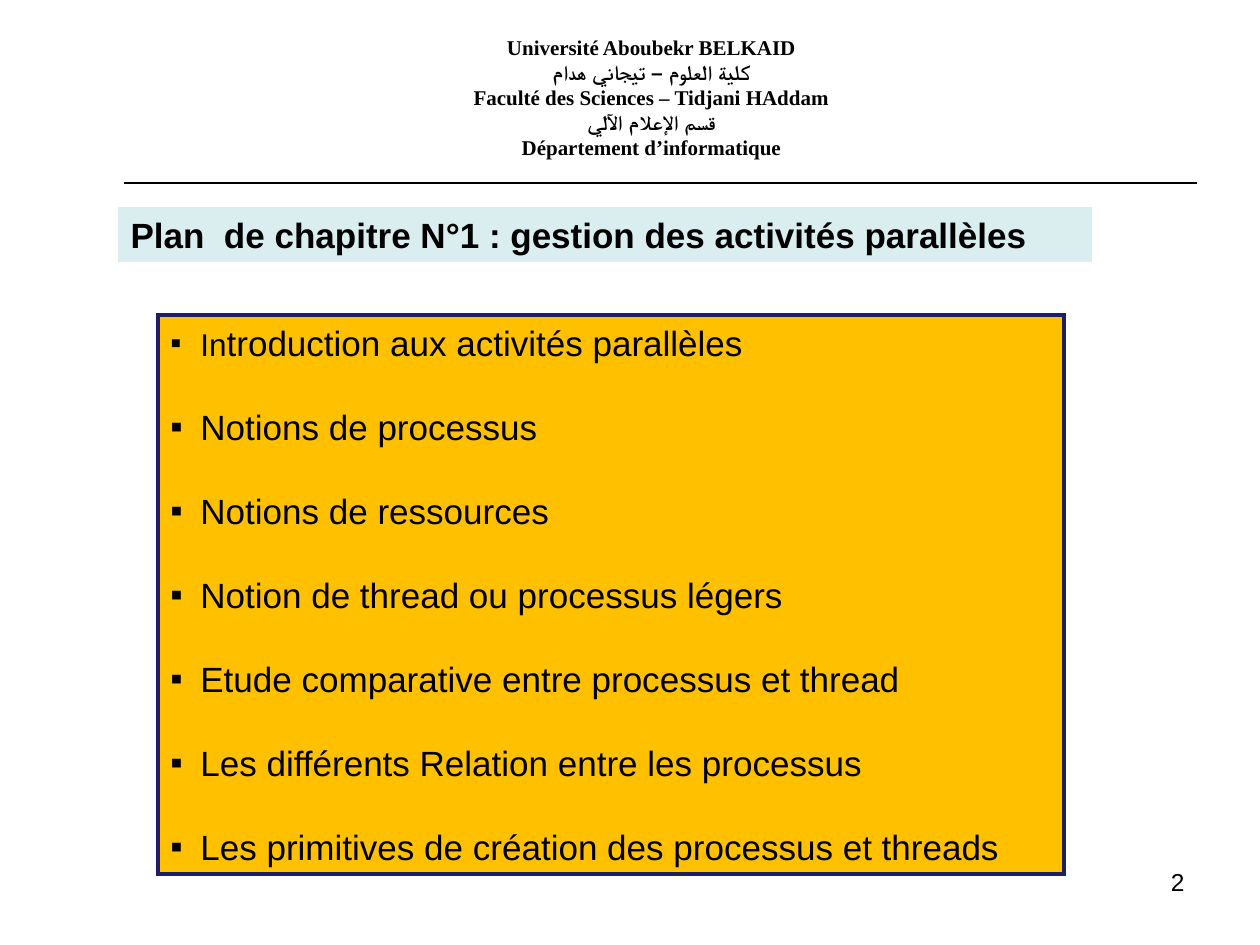
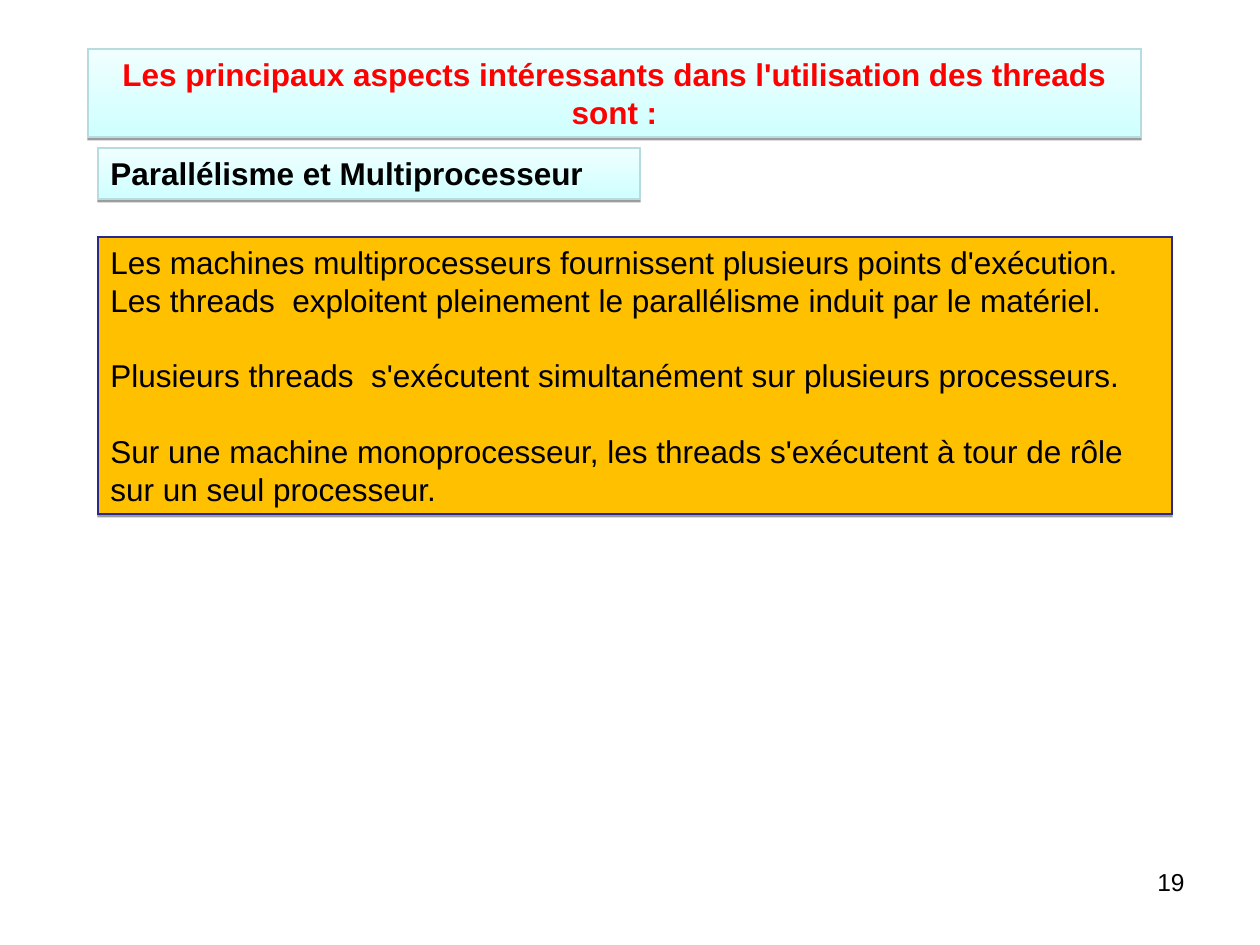
from lxml import etree
from pptx import Presentation
from pptx import util as u
from pptx.dml.color import RGBColor
from pptx.enum import shapes, text
from pptx.oxml import ns

EMU_PER_PX = 914400 / 126
SANS, SERIF = "Arial", "Times New Roman"
COLORS = {
    "ink": "000000",
    "alert": "FF0000",
    "band": "DAEDEF",
    "band_low": "CFFFFF",
    "band_high": "F0FFFF",
    "band_edge": "B6DCDF",
    "panel": "FFC000",
    "panel_edge": "1E1E64",
    "panel_thin_edge": "292989",
}
LEFT, CENTER, RIGHT = text.PP_ALIGN.LEFT, text.PP_ALIGN.CENTER, text.PP_ALIGN.RIGHT

INSTITUTION = [
    "Université Aboubekr BELKAID",
    "كلية العلوم – تيجاني هدام",
    "Faculté des Sciences – Tidjani HAddam",
    "قسم الإعلام الآلي",
    "Département d’informatique",
]
PLAN = [
    [("In", 18), ("troduction aux activités parallèles", 20)],
    "Notions de processus",
    "Notions de ressources",
    "Notion de thread ou processus légers",
    "Etude comparative entre processus et thread",
    "Les différents Relation entre les processus",
    "Les primitives de création des processus et threads",
]
PARALLELISM = [
    "Les machines multiprocesseurs fournissent plusieurs points d'exécution. "
    "Les threads  exploitent pleinement le parallélisme induit par le matériel.",
    "Plusieurs threads  s'exécutent simultanément sur plusieurs processeurs.",
    "Sur une machine monoprocesseur, les threads s'exécutent à tour de rôle "
    "sur un seul processeur.",
]


def px(length):
    return u.Emu(round(length * EMU_PER_PX))


def rgb(name):
    return RGBColor.from_string(COLORS[name])


def add_child(parent, tag, **attributes):
    return etree.SubElement(parent, ns.qn(tag), attributes)


def add_bullet(paragraph):
    props = paragraph._p.get_or_add_pPr()
    hanging = px(30)
    props.set("marL", str(hanging))
    props.set("indent", str(-hanging))
    add_child(add_child(props, "a:buClr"), "a:srgbClr", val=COLORS["ink"])
    add_child(props, "a:buFont", typeface=SANS)
    add_child(props, "a:buChar", char="▪")


def write(shape, paragraphs, size, align=LEFT, bold=False, color="ink",
          font=SANS, gap=0, bullets=False):
    """Fill a shape; a paragraph is a string or a list of (text, size) runs."""
    frame = shape.text_frame
    frame.word_wrap = True
    frame.auto_size = text.MSO_AUTO_SIZE.NONE
    frame.vertical_anchor = text.MSO_ANCHOR.TOP
    for index, content in enumerate(paragraphs):
        paragraph = frame.add_paragraph() if index else frame.paragraphs[0]
        paragraph.alignment = align
        if index and gap:
            paragraph.space_before = u.Pt(gap)
        if bullets:
            add_bullet(paragraph)
        runs = [(content, size)] if isinstance(content, str) else content
        for words, run_size in runs:
            run = paragraph.add_run()
            run.text = words
            run.font.name = font
            run.font.size = u.Pt(run_size)
            run.font.bold = bold
            run.font.color.rgb = rgb(color)
            # Arabic letters use the sans face, which has a bold weight.
            add_child(run.font._element, "a:cs", typeface=SANS)


def place_title(slide, left, top, width, height):
    title = slide.shapes.title
    title.left, title.top = px(left), px(top)
    title.width, title.height = px(width), px(height)
    return title


def add_box(slide, *box):
    shape = slide.shapes.add_shape(shapes.MSO_SHAPE.RECTANGLE, *map(px, box))
    shape.shadow.inherit = False
    return shape


def add_text_box(slide, *box):
    return slide.shapes.add_textbox(*map(px, box))


def outline(shape, edge, weight=0.75):
    shape.line.color.rgb = rgb(edge)
    shape.line.width = u.Pt(weight)
    add_child(shape._element.spPr.find(ns.qn("a:ln")), "a:miter", lim="800000")


def paint(shape, fill, edge=None, weight=0.75):
    shape.fill.solid()
    shape.fill.fore_color.rgb = rgb(fill)
    if edge:
        outline(shape, edge, weight)
    else:
        shape.line.fill.background()


def drop_shadow(shape):
    shape.shadow.inherit = False
    effects = shape._element.spPr.find(ns.qn("a:effectLst"))
    shadow = add_child(effects, "a:outerShdw", blurRad="0", dist=str(u.Pt(1.6)),
                       dir="5400000", algn="t", rotWithShape="0")
    tint = add_child(shadow, "a:srgbClr", val=COLORS["ink"])
    add_child(tint, "a:alpha", val="38000")


def paint_heading(shape):
    shape.fill.gradient()
    shape.fill.gradient_angle = 90
    for stop, name in zip(shape.fill.gradient_stops, ("band_low", "band_high")):
        stop.color.rgb = rgb(name)
    outline(shape, "band_edge")
    drop_shadow(shape)


def add_rule(slide, left, right, y):
    rule = slide.shapes.add_connector(
        shapes.MSO_CONNECTOR.STRAIGHT, px(left), px(y), px(right), px(y))
    outline(rule, "ink")
    add_child(rule._element.spPr, "a:effectLst")


def add_page_number(slide, number):
    write(add_text_box(slide, 903, 861, 294, 65), [str(number)], 14, RIGHT)


def new_slide(deck, number):
    slide = deck.slides.add_slide(deck.slide_layouts[5])
    add_page_number(slide, number)
    return slide


def build_plan(deck):
    slide = new_slide(deck, 2)
    add_rule(slide, 124, 1197, 183)
    write(add_text_box(slide, 394, 28, 515, 126), INSTITUTION, 12, CENTER,
          bold=True, font=SERIF)

    title = place_title(slide, 118, 207, 974, 55)
    paint(title, "band")
    write(title, ["Plan  de chapitre N°1 : gestion des activités parallèles"],
          20, bold=True)

    plan = add_box(slide, 158, 315, 906, 559)
    paint(plan, "panel", "panel_edge", 2)
    write(plan, PLAN, 20, gap=24, bullets=True)


def build_parallelism(deck):
    slide = new_slide(deck, 19)
    title = place_title(slide, 88, 49, 1053, 88)
    paint_heading(title)
    write(title, ["Les principaux aspects intéressants dans l'utilisation "
                  "des threads sont :"], 18, CENTER, bold=True, color="alert")

    subtitle = add_box(slide, 98, 148, 542, 51)
    paint_heading(subtitle)
    write(subtitle, ["Parallélisme et Multiprocesseur"], 18, bold=True)

    explanation = add_box(slide, 98, 237, 1074, 277)
    paint(explanation, "panel", "panel_thin_edge")
    drop_shadow(explanation)
    write(explanation, PARALLELISM, 18, gap=21.5)


def main():
    deck = Presentation()
    deck.slide_width, deck.slide_height = px(1260), px(945)
    build_plan(deck)
    build_parallelism(deck)
    deck.save("out.pptx")


if __name__ == "__main__":
    main()
